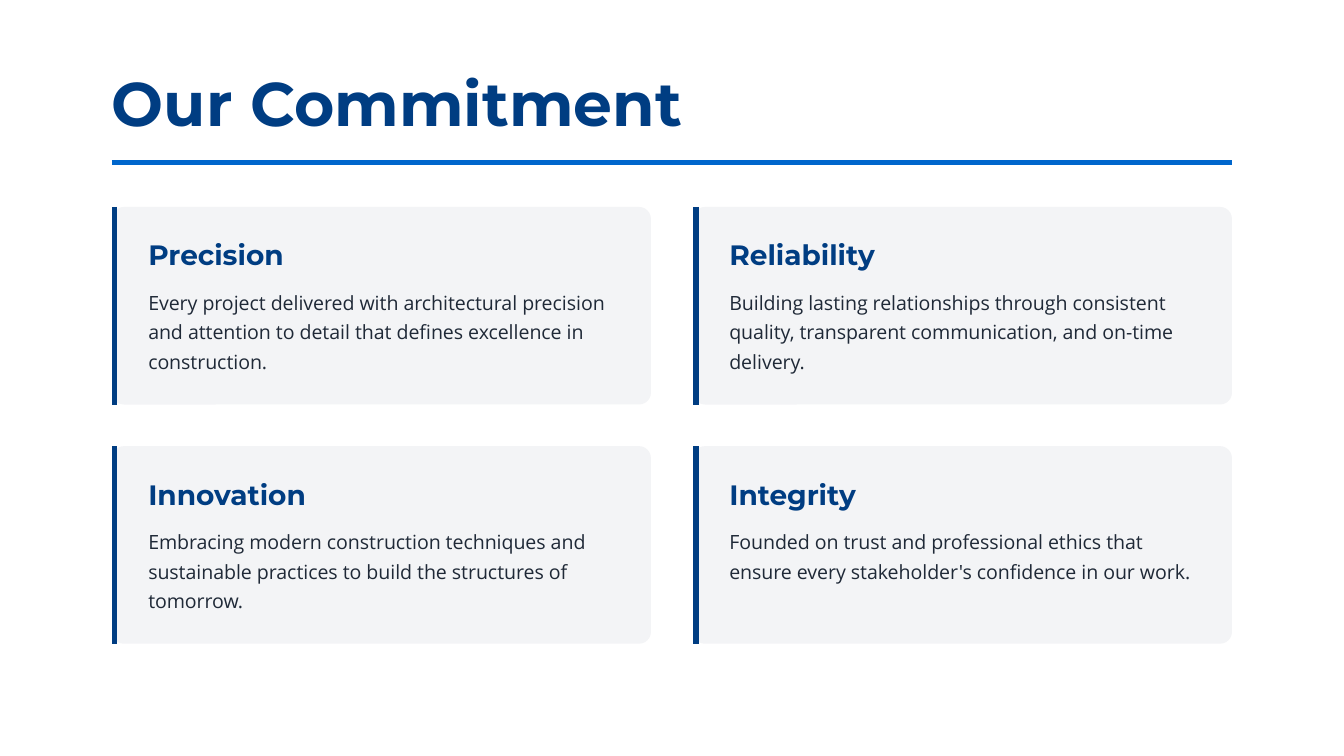
from dataclasses import dataclass

from lxml import etree
from pptx import Presentation
from pptx.dml.color import RGBColor
from pptx.enum import shapes, text
from pptx.oxml import ns
from pptx.slide import Slide
from pptx.util import Inches, Pt


@dataclass(frozen=True)
class TextStyle:
    font: str
    size: float
    line_spacing: float
    color: RGBColor
    bold: bool = False
    space_after: float = 0


@dataclass(frozen=True)
class Theme:
    navy: RGBColor = RGBColor.from_string("003D82")
    blue: RGBColor = RGBColor.from_string("0066CC")
    panel: RGBColor = RGBColor.from_string("F3F4F6")
    ink: RGBColor = RGBColor.from_string("1F2937")
    rule_width: float = 3

    @property
    def title(self) -> TextStyle:
        return TextStyle("Montserrat", 33, 36.7, self.navy, bold=True)

    @property
    def heading(self) -> TextStyle:
        return TextStyle("Montserrat", 15, 18, self.navy, bold=True, space_after=7.5)

    @property
    def body(self) -> TextStyle:
        return TextStyle("Open Sans", 10.5, 15.8, self.ink)


@dataclass(frozen=True)
class Commitment:
    heading: str
    body: str
    body_lines: int = 3


THEME = Theme()
SLIDE_WIDTH = 10
SLIDE_HEIGHT = SLIDE_WIDTH * 9 / 16
MARGIN = SLIDE_WIDTH / 12
CONTENT_RIGHT = SLIDE_WIDTH - MARGIN
GRID_TOP = 1.54
COLUMNS = 2
CARD_WIDTH, CARD_HEIGHT = 4.01, 1.47
COLUMN_STEP = CONTENT_RIGHT - MARGIN - CARD_WIDTH
ROW_STEP = 1.78
TEXT_INSET, TEXT_WIDTH = 0.27, 3.58
BODY_LINE_HEIGHT = 0.22

COMMITMENTS = [
    Commitment("Precision", "Every project delivered with architectural precision and "
               "attention to detail that defines excellence in construction."),
    Commitment("Reliability", "Building lasting relationships through consistent quality, "
               "transparent communication, and on-time delivery."),
    Commitment("Innovation", "Embracing modern construction techniques and sustainable "
               "practices to build the structures of tomorrow."),
    Commitment("Integrity", "Founded on trust and professional ethics that ensure every "
               "stakeholder's confidence in our work.", body_lines=2),
]


def add_text(slide: Slide, content: str, style: TextStyle, left: float, top: float,
             width: float, height: float, wrap: bool = True) -> None:
    box = slide.shapes.add_textbox(Inches(left), Inches(top), Inches(width), Inches(height))
    frame = box.text_frame
    frame.text = content
    frame.word_wrap = wrap
    frame.vertical_anchor = text.MSO_ANCHOR.TOP
    frame.margin_left = frame.margin_right = frame.margin_top = frame.margin_bottom = 0
    paragraph = frame.paragraphs[0]
    paragraph.line_spacing = Pt(style.line_spacing)
    paragraph.space_after = Pt(style.space_after)
    font = paragraph.runs[0].font
    font.name, font.size, font.bold = style.font, Pt(style.size), style.bold
    font.color.rgb = style.color


def add_rule(slide: Slide, color: RGBColor, left: float, top: float,
             right: float, bottom: float) -> None:
    rule = slide.shapes.add_connector(
        shapes.MSO_CONNECTOR.STRAIGHT, Inches(left), Inches(top), Inches(right), Inches(bottom))
    rule.line.color.rgb = color
    rule.line.width = Pt(THEME.rule_width)
    etree.SubElement(rule.element.spPr, ns.qn("a:effectLst"))


def add_card(slide: Slide, commitment: Commitment, left: float, top: float) -> None:
    """Draw a panel with an accent bar on its left edge, a heading and a body."""
    panel = slide.shapes.add_shape(
        shapes.MSO_SHAPE.ROUNDED_RECTANGLE,
        Inches(left), Inches(top), Inches(CARD_WIDTH), Inches(CARD_HEIGHT))
    panel.adjustments[0] = 0.06
    panel.shadow.inherit = False
    panel.fill.solid()
    panel.fill.fore_color.rgb = THEME.panel
    panel.line.fill.background()

    bar = left + 0.02
    add_rule(slide, THEME.navy, bar, top, bar, top + CARD_HEIGHT)
    text_left = left + TEXT_INSET
    add_text(slide, commitment.heading, THEME.heading, text_left, top + 0.23, TEXT_WIDTH, 0.25)
    add_text(slide, commitment.body, THEME.body, text_left, top + 0.58, TEXT_WIDTH,
             commitment.body_lines * BODY_LINE_HEIGHT)


def main() -> None:
    presentation = Presentation()
    presentation.slide_width = Inches(SLIDE_WIDTH)
    presentation.slide_height = Inches(SLIDE_HEIGHT)
    slide = presentation.slides.add_slide(presentation.slide_layouts[6])

    add_rule(slide, THEME.blue, MARGIN, 1.21, CONTENT_RIGHT, 1.21)
    add_text(slide, "Our Commitment", THEME.title, MARGIN, 0.52, 4.26, 0.51, wrap=False)
    for index, commitment in enumerate(COMMITMENTS):
        row, column = divmod(index, COLUMNS)
        add_card(slide, commitment, MARGIN + column * COLUMN_STEP, GRID_TOP + row * ROW_STEP)

    presentation.save("out.pptx")


if __name__ == "__main__":
    main()
